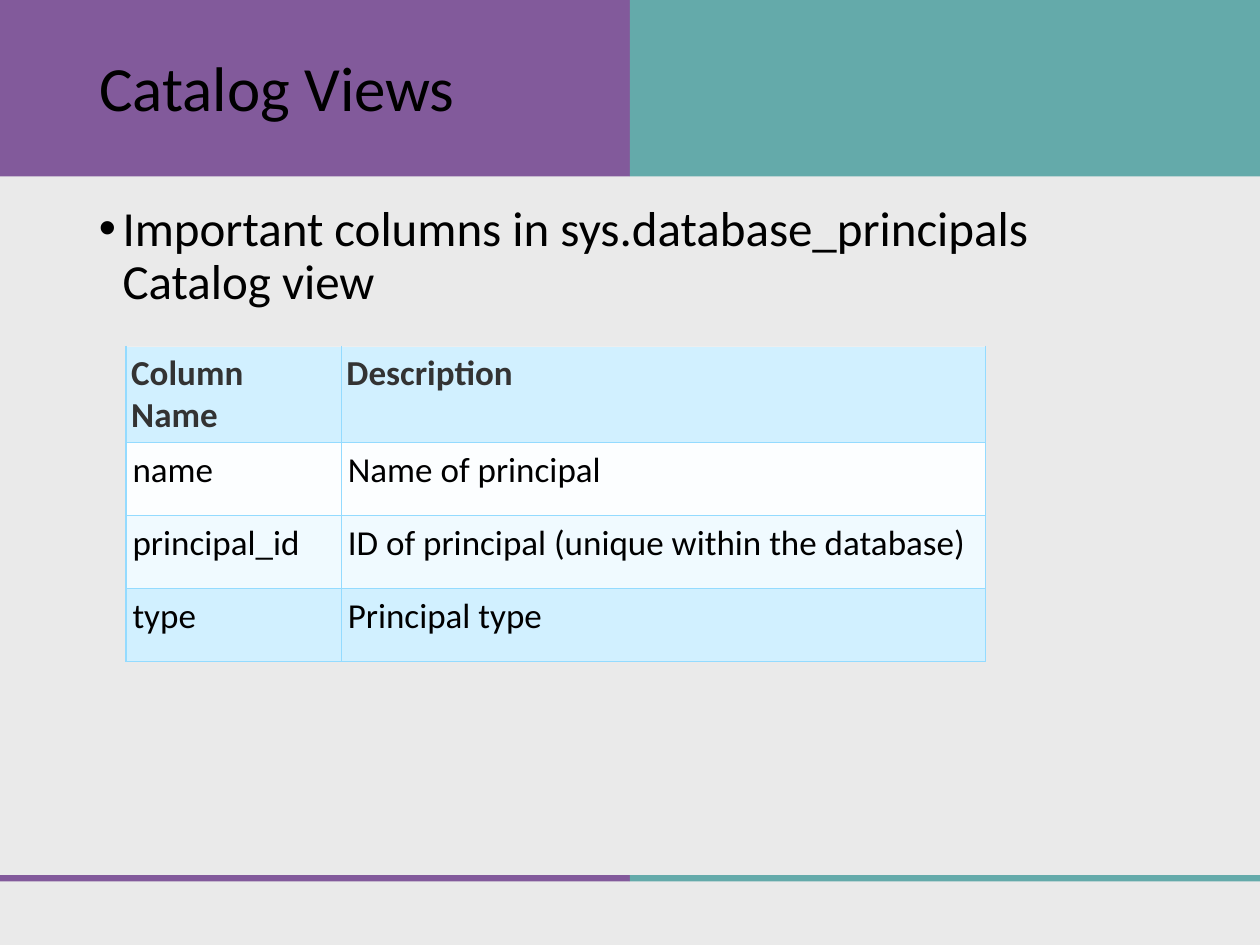
from dataclasses import dataclass

from lxml import etree
from pptx import Presentation
from pptx.dml.color import RGBColor
from pptx.enum import shapes, text
from pptx.oxml import ns
from pptx.util import Pt


@dataclass(frozen=True)
class Theme:
    font: str = "Calibri"
    page: str = "EAEAEA"
    purple: str = "825A9B"
    teal: str = "64AAAA"
    ink: str = "000000"
    header_ink: str = "333333"
    border: str = "94DBFF"
    header_top: str = "EEEEEE"
    title_size: float = 36
    body_size: float = 28
    table_size: float = 20


@dataclass(frozen=True)
class Band:
    top: float
    height: float


@dataclass(frozen=True)
class Row:
    cells: tuple[str, str]
    fill: str
    height: float = 41.8
    header: bool = False


THEME = Theme()
WIDTH, HEIGHT = 720, 540
BANDS = (Band(0, 100.8), Band(500, 3.6))
COLUMNS = (123, 368)
ROWS = (
    Row(("Column Name", "Description"), "D1F0FF", 54.8, True),
    Row(("name", "Name of principal"), "FCFEFF"),
    Row(("principal_id", "ID of principal (unique within the database)"), "F0FAFF"),
    Row(("type", "Principal type"), "D1F0FF"),
)


def paint(target, color: str) -> None:
    target.fill.solid()
    target.fill.fore_color.rgb = RGBColor.from_string(color)


def place(box, left: float, top: float, width: float, height: float) -> None:
    box.left, box.top, box.width, box.height = map(Pt, (left, top, width, height))


def add_span(para, words: str, size: float, color: str = THEME.ink, bold: bool = False) -> None:
    span = para.add_run()
    span.text = words
    span.font.name = THEME.font
    span.font.size = Pt(size)
    span.font.bold = bold
    span.font.color.rgb = RGBColor.from_string(color)


def add_band(page, band: Band) -> None:
    half = WIDTH / 2
    for index, color in enumerate((THEME.purple, THEME.teal)):
        bar = page.shapes.add_shape(
            shapes.MSO_SHAPE.RECTANGLE, Pt(index * half), Pt(band.top), Pt(half), Pt(band.height)
        )
        bar.shadow.inherit = False
        paint(bar, color)
        bar.line.fill.background()


def set_title(page, words: str) -> None:
    title = page.shapes.title
    title.element.getparent().append(title.element)
    place(title, 49.5, 15.8, 621, 72)
    frame = title.text_frame
    frame.vertical_anchor = text.MSO_ANCHOR.MIDDLE
    para = frame.paragraphs[0]
    para.alignment = text.PP_ALIGN.LEFT
    para.line_spacing = 0.9
    add_span(para, words, THEME.title_size)


def add_body(page, words: str) -> None:
    box = page.shapes.add_textbox(Pt(49.5), Pt(113), Pt(621), Pt(373))
    frame = box.text_frame
    frame.word_wrap = True
    para = frame.paragraphs[0]
    para.line_spacing = 0.9
    para.space_before = Pt(7.5)
    add_span(para, words, THEME.body_size)
    properties = para._p.get_or_add_pPr()
    properties.set("marL", str(Pt(13.5)))
    properties.set("indent", str(-Pt(13.5)))
    etree.SubElement(properties, ns.qn("a:buFont"), typeface="Arial")
    etree.SubElement(properties, ns.qn("a:buChar"), char="•")


def set_borders(cell, top: str) -> None:
    properties = cell._tc.get_or_add_tcPr()
    sides = {"lnL": THEME.border, "lnR": THEME.border, "lnT": top, "lnB": THEME.border}
    for index, (side, color) in enumerate(sides.items()):
        line = etree.Element(ns.qn(f"a:{side}"), w=str(Pt(0.75)))
        fill = etree.SubElement(line, ns.qn("a:solidFill"))
        etree.SubElement(fill, ns.qn("a:srgbClr"), val=color)
        properties.insert(index, line)


def fill_cell(cell, words: str, row: Row) -> None:
    paint(cell, row.fill)
    set_borders(cell, THEME.header_top if row.header else THEME.border)
    inset = Pt(3 if row.header else 3.75)
    cell.margin_left = cell.margin_right = cell.margin_top = cell.margin_bottom = inset
    color = THEME.header_ink if row.header else THEME.ink
    add_span(cell.text_frame.paragraphs[0], words, THEME.table_size, color, row.header)


def add_grid(page) -> None:
    height = sum(row.height for row in ROWS)
    frame = page.shapes.add_table(
        len(ROWS), len(COLUMNS), Pt(72), Pt(198), Pt(sum(COLUMNS)), Pt(height)
    )
    table = frame.table
    table.horz_banding = False
    for column, width in zip(table.columns, COLUMNS):
        column.width = Pt(width)
    for line, row in zip(table.rows, ROWS):
        line.height = Pt(row.height)
        for cell, words in zip(line.cells, row.cells):
            fill_cell(cell, words, row)


def main() -> None:
    deck = Presentation()
    deck.slide_width, deck.slide_height = Pt(WIDTH), Pt(HEIGHT)
    page = deck.slides.add_slide(deck.slide_layouts.get_by_name("Title Only"))
    paint(page.background, THEME.page)
    for band in BANDS:
        add_band(page, band)
    set_title(page, "Catalog Views")
    add_body(page, "Important columns in sys.database_principals Catalog view")
    add_grid(page)
    deck.save("out.pptx")


main()
